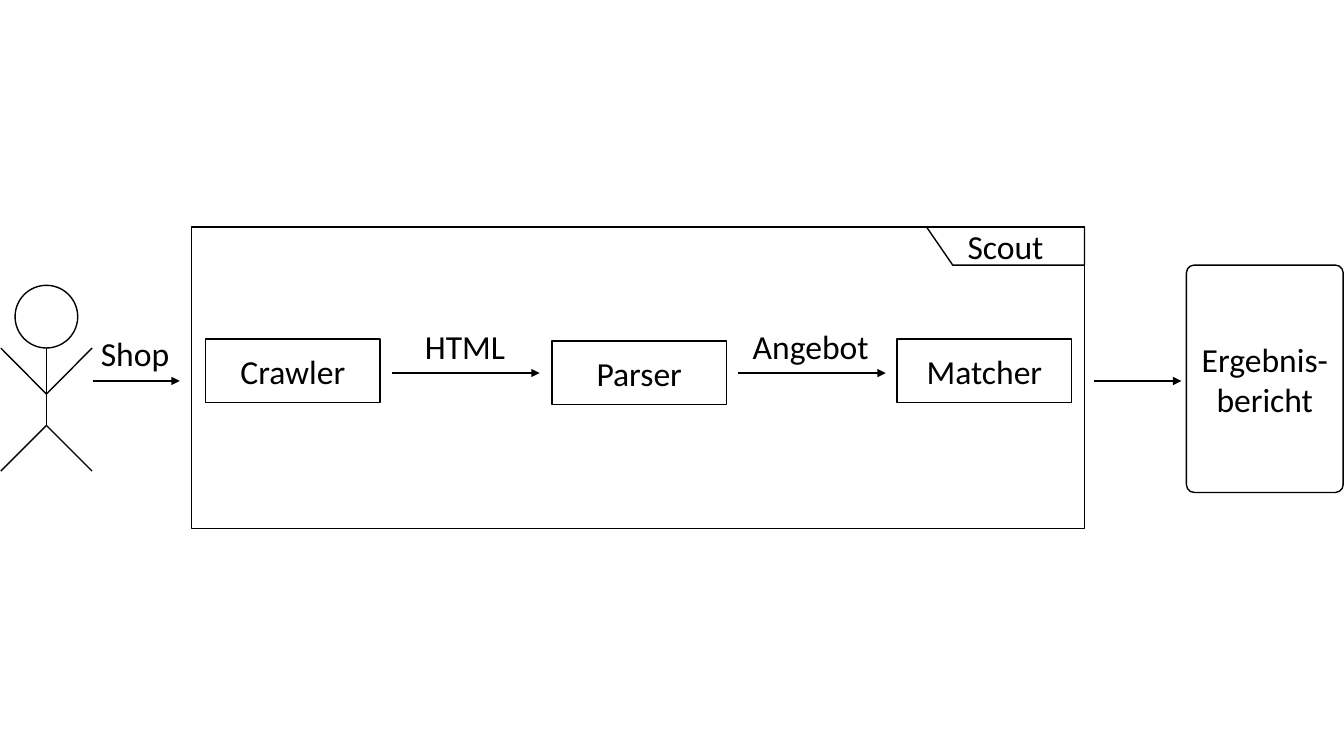
from lxml.etree import SubElement
from pptx import Presentation
from pptx.dml.color import RGBColor
from pptx.enum.shapes import MSO_CONNECTOR, MSO_SHAPE
from pptx.enum.text import MSO_ANCHOR, MSO_AUTO_SIZE, PP_ALIGN
from pptx.oxml.ns import qn
from pptx.util import Cm, Pt

COLORS = {"ink": "000000", "paper": "FFFFFF"}
INK = RGBColor.from_string(COLORS["ink"])
PAPER = RGBColor.from_string(COLORS["paper"])

prs = Presentation()
prs.slide_width, prs.slide_height = Cm(33.87), Cm(19.05)
slide = prs.slides.add_slide(prs.slide_layouts[6])
shapes = slide.shapes


def style(part, text="", filled=True):
    part.shadow.inherit = False
    if filled:
        part.fill.solid()
        part.fill.fore_color.rgb = PAPER
    else:
        part.fill.background()
    part.line.color.rgb = INK
    part.line.width = Pt(1)
    if text:
        write(part.text_frame, text, PP_ALIGN.CENTER)
        part.text_frame.vertical_anchor = MSO_ANCHOR.MIDDLE


def write(frame, text, alignment):
    paragraph = frame.paragraphs[0]
    paragraph.alignment = alignment
    run = paragraph.add_run()
    run.text = text
    run.font.name = "Calibri"
    run.font.size = Pt(24)
    run.font.color.rgb = INK


system_left, system_top, system_width, system_height = 4.83, 5.72, 22.5, 7.6
system_right = system_left + system_width
system = shapes.add_shape(MSO_SHAPE.RECTANGLE, Cm(system_left), Cm(system_top),
                          Cm(system_width), Cm(system_height))
style(system, filled=False)

tab_bottom = system_top + 0.96
tab = shapes.build_freeform(Cm(system_right - 3.98), Cm(system_top))
tab.add_line_segments([(Cm(x), Cm(y)) for x, y in [
    (system_right, system_top),
    (system_right, tab_bottom),
    (system_right - 3.32, tab_bottom),
]])
style(tab.convert_to_shape(), "Scout", filled=False)

for step, left, top in [("Crawler", 5.18, 8.54), ("Parser", 13.91, 8.59), ("Matcher", 22.61, 8.54)]:
    box = shapes.add_shape(MSO_SHAPE.RECTANGLE, Cm(left), Cm(top), Cm(4.4), Cm(1.61))
    style(box, step)

report = shapes.add_shape(MSO_SHAPE.ROUNDED_RECTANGLE, Cm(29.9), Cm(6.68), Cm(3.95), Cm(5.73))
report.adjustments[0] = 0.05
style(report, "Ergebnis-bericht")

head = shapes.add_shape(MSO_SHAPE.OVAL, Cm(0.38), Cm(7.19), Cm(1.58), Cm(1.58))
style(head)

spine, reach = 1.17, 1.15
neck, chest, hip = 8.77, 9.93, 10.72
limbs = [(spine, neck, spine, hip)]
for side in (-reach, reach):
    limbs.append((spine, chest, spine + side, neck))
    limbs.append((spine, hip, spine + side, hip + reach))
flows = [
    (2.34, 9.6, 4.53, 9.6),
    (9.88, 9.4, 13.6, 9.4),
    (18.6, 9.4, 22.32, 9.4),
    (27.57, 9.6, 29.77, 9.6),
]
for ends in limbs + flows:
    link = shapes.add_connector(MSO_CONNECTOR.STRAIGHT, *[Cm(value) for value in ends])
    link.line.color.rgb = INK
    link.line.width = Pt(1)
    if ends in flows:
        SubElement(link.line._ln, qn("a:tailEnd"), type="triangle")
    SubElement(link._element.spPr, qn("a:effectLst"))

for payload, left, top, width in [("Shop", 2.29, 8.26, 2.26), ("HTML", 10.46, 8.1, 2.57),
                                  ("Angebot", 18.72, 8.1, 3.45)]:
    label = shapes.add_textbox(Cm(left), Cm(top), Cm(width), Cm(1.27)).text_frame
    label.word_wrap = False
    label.auto_size = MSO_AUTO_SIZE.SHAPE_TO_FIT_TEXT
    write(label, payload, PP_ALIGN.LEFT)

prs.save("out.pptx")
